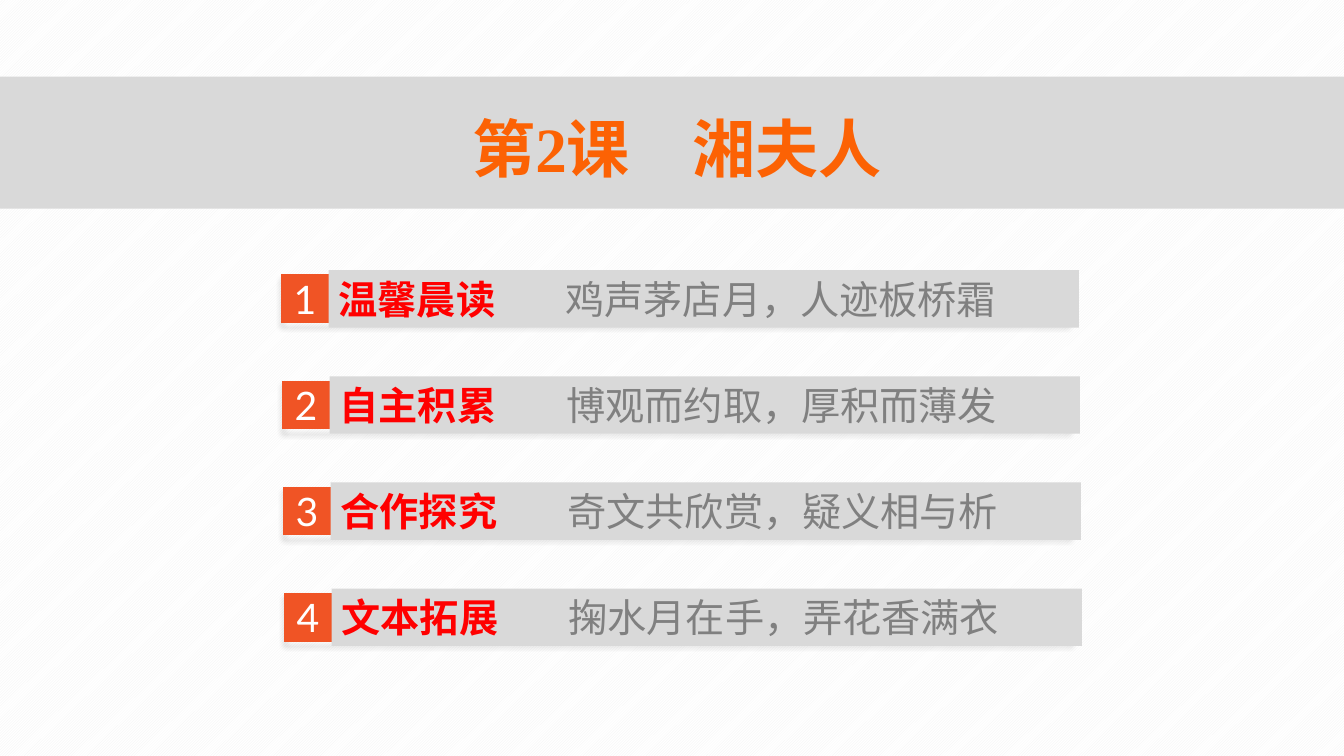
"""Build the lesson title slide with its four numbered sections."""
from lxml import etree
from pptx import Presentation
from pptx.dml.color import RGBColor
from pptx.enum.dml import MSO_PATTERN
from pptx.enum.shapes import MSO_SHAPE
from pptx.enum.text import MSO_ANCHOR, PP_ALIGN
from pptx.oxml import parse_xml
from pptx.oxml.ns import qn
from pptx.util import Inches, Pt

LESSON = "第2课　湘夫人"
SECTIONS = [
    ("温馨晨读", "鸡声茅店月，人迹板桥霜"),
    ("自主积累", "博观而约取，厚积而薄发"),
    ("合作探究", "奇文共欣赏，疑义相与析"),
    ("文本拓展", "掬水月在手，弄花香满衣"),
]
CJK = "Noto Sans CJK SC"
ORANGE, GREY = "F05425", "D9D9D9"
LESSON_FORMAT = {"name": "Times New Roman", "size": Pt(45), "bold": True}
NUMBER_FORMAT = {"name": "Lato", "size": Pt(28), "bold": False}
HEADING_FORMAT = {"name": CJK, "size": Pt(28), "bold": True}
VERSE_FORMAT = {"name": CJK, "size": Pt(28), "bold": False}
FIRST_LEFT, FIRST_TOP = 2.79, 2.73
SHIFT, PITCH = 0.01, 1.053
BADGE, FRAME_WIDTH = 0.47, 7.79
BAR_WIDTH, BAR_HEIGHT, BAR_RISE = 7.44, 0.57, 0.05
VERSE_TAB = 2.25
NAMESPACE = 'xmlns:a="http://schemas.openxmlformats.org/drawingml/2006/main"'
FRAME_SHADOW = (
    f'<a:effectLst {NAMESPACE}><a:outerShdw blurRad="{Pt(4)}" dist="{Pt(3)}" '
    'dir="5400000" rotWithShape="0"><a:srgbClr val="000000">'
    '<a:alpha val="40000"/></a:srgbClr></a:outerShdw></a:effectLst>'
)


def paint(color_format, color):
    color_format.rgb = RGBColor.from_string(color)


def add_box(slide, left, top, width, height, fill=None, line=None):
    box = slide.shapes.add_shape(
        MSO_SHAPE.RECTANGLE, *map(Inches, (left, top, width, height)))
    box.shadow.inherit = False
    if fill:
        box.fill.solid()
        paint(box.fill.fore_color, fill)
    else:
        box.fill.background()
    if line:
        paint(box.line.color, line)
        box.line.width = Pt(1)
    else:
        box.line.fill.background()
    return box


def add_words(paragraph, words, color, font_format):
    run = paragraph.add_run()
    run.text = words
    for attribute, value in font_format.items():
        setattr(run.font, attribute, value)
    paint(run.font.color, color)
    etree.SubElement(run.font._element, qn("a:ea"), typeface=CJK)


def add_section(slide, index, heading, verse):
    left = FIRST_LEFT + index * SHIFT
    top = FIRST_TOP + index * PITCH
    frame = add_box(slide, left, top, FRAME_WIDTH, BADGE, line=ORANGE)
    properties = frame._element.spPr
    properties.replace(properties.find(qn("a:effectLst")), parse_xml(FRAME_SHADOW))

    badge = add_box(slide, left, top, BADGE, BADGE, ORANGE, ORANGE)
    badge.text_frame.vertical_anchor = MSO_ANCHOR.MIDDLE
    number = badge.text_frame.paragraphs[0]
    number.alignment = PP_ALIGN.CENTER
    add_words(number, str(index + 1), "FFFFFF", NUMBER_FORMAT)

    bar = add_box(slide, left + BADGE, top - BAR_RISE, BAR_WIDTH, BAR_HEIGHT, GREY)
    bar.text_frame.vertical_anchor = MSO_ANCHOR.TOP
    bar.text_frame.word_wrap = True
    entry = bar.text_frame.paragraphs[0]
    entry.alignment = PP_ALIGN.LEFT
    tabs = etree.SubElement(entry._p.get_or_add_pPr(), qn("a:tabLst"))
    etree.SubElement(tabs, qn("a:tab"), pos=str(Inches(VERSE_TAB)), algn="l")
    add_words(entry, heading + "\t", "FF0000", HEADING_FORMAT)
    add_words(entry, verse, "808080", VERSE_FORMAT)


def main():
    deck = Presentation()
    deck.slide_width, deck.slide_height = Inches(13.33), Inches(7.5)
    slide = deck.slides.add_slide(deck.slide_layouts[6])
    backdrop = slide.background.fill
    backdrop.patterned()
    backdrop.pattern = MSO_PATTERN.LIGHT_UPWARD_DIAGONAL
    paint(backdrop.fore_color, "F2F2F2")
    paint(backdrop.back_color, "FFFFFF")

    add_box(slide, 0, 0.76, 13.33, 1.31, GREY)
    for index, (heading, verse) in enumerate(SECTIONS):
        add_section(slide, index, heading, verse)

    lesson = slide.shapes.add_textbox(*map(Inches, (2.87, 1.05, 7.69, 0.82)))
    lesson.text_frame.word_wrap = True
    lesson.text_frame.vertical_anchor = MSO_ANCHOR.MIDDLE
    title = lesson.text_frame.paragraphs[0]
    title.alignment = PP_ALIGN.CENTER
    add_words(title, LESSON, "FC6204", LESSON_FORMAT)
    deck.save("out.pptx")


if __name__ == "__main__":
    main()
